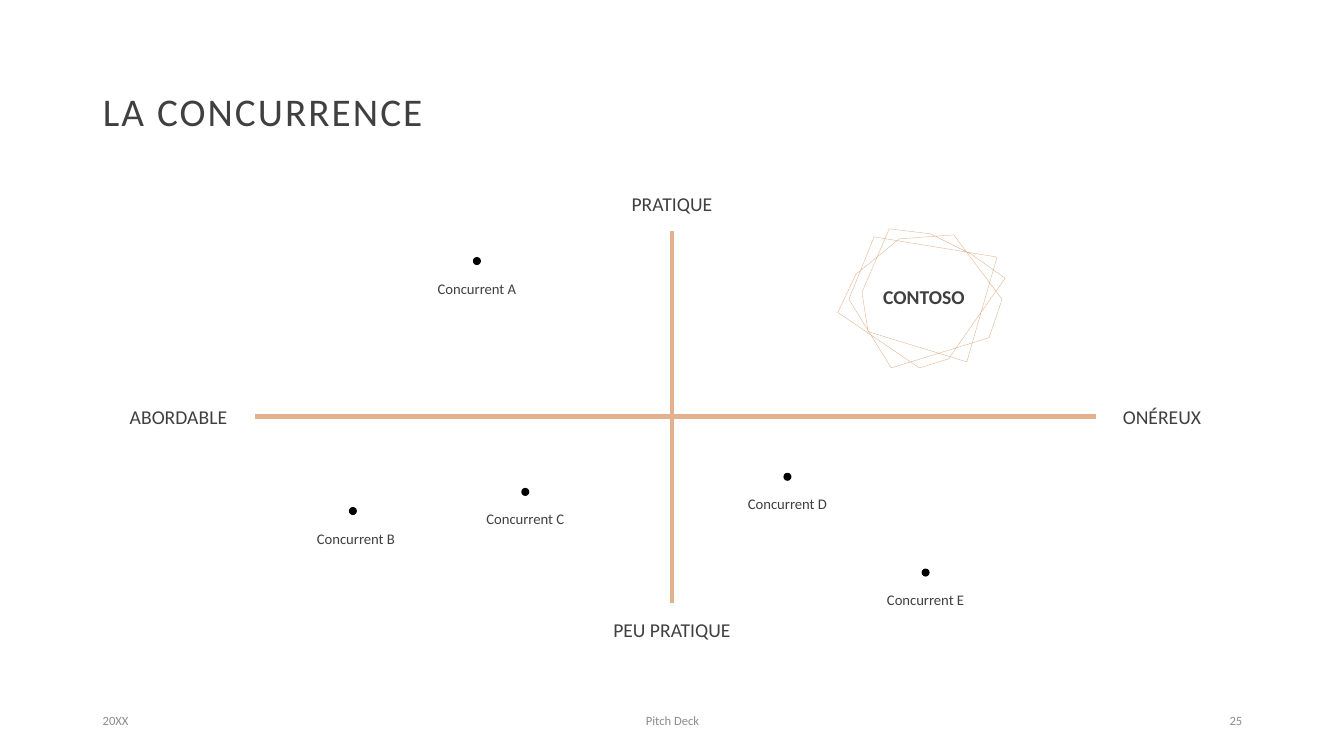
"""Builds a slide that places competitors on a price and convenience map."""
from lxml import etree
from pptx import Presentation, util as u
from pptx.dml.color import RGBColor
from pptx.enum import shapes, text
from pptx.oxml.ns import qn

INK = RGBColor(0x40, 0x40, 0x40)
GREY = RGBColor(0x8C, 0x8C, 0x8C)
SAND = RGBColor(0xE2, 0xB1, 0x8D)
BLACK = RGBColor(0, 0, 0)
FONT = "Calibri"
LEFT, CENTER, RIGHT = text.PP_ALIGN.LEFT, text.PP_ALIGN.CENTER, text.PP_ALIGN.RIGHT

COLUMNS, ROWS = 13.33, 7.5
TITLE = ("LA CONCURRENCE", (0.92, 0.4, 11.5, 1.45))
AXIS_LABELS = {
    "top": ("PRATIQUE", (5.73, 1.75, 1.87, 0.54)),
    "bottom": ("PEU PRATIQUE", (5.73, 5.98, 1.87, 0.54)),
    "left": ("ABORDABLE", (1.01, 3.86, 1.52, 0.54)),
    "right": ("ONÉREUX", (10.77, 3.86, 1.51, 0.54)),
}
AXIS_END = (10.87, 4.13)
COMPETITORS = [
    ("Concurrent A", 4.73, 2.59, 0),
    ("Concurrent B", 3.5, 5.07, 0.03),
    ("Concurrent C", 5.21, 4.88, 0),
    ("Concurrent D", 7.81, 4.73, 0),
    ("Concurrent E", 9.18, 5.68, 0),
]
DOT, LABEL_W, LABEL_H = 0.08, 1.29, 0.54
COMPANY = ("CONTOSO", (8.23, 2.37, 1.87, 1.15))
OUTLINE = [
    (8.92, 2.37), (8.54, 2.68), (8.49, 2.72), (8.31, 3.1), (9.12, 3.65), (9.41, 3.56),
    (9.68, 3.17), (9.97, 2.76), (9.63, 2.52), (9.23, 2.32), (8.82, 2.27), (8.55, 2.9),
    (8.61, 3.29), (9.59, 3.59), (9.89, 2.55), (8.67, 2.35), (8.42, 2.97), (8.84, 3.65),
    (9.81, 3.35), (9.94, 2.97), (9.46, 2.33),
]
FOOTER_TOP, FOOTER_H = 6.95, 0.4
FOOTER = [("20XX", 0.92, 3, LEFT), ("Pitch Deck", 4.42, 4.5, CENTER), ("25", 9.42, 3, RIGHT)]

prs = Presentation()
prs.slide_width, prs.slide_height = u.Inches(COLUMNS), u.Inches(ROWS)
s = prs.slides.add_slide(prs.slide_layouts[5])


def grid(*lengths):
    return [u.Inches(n) for n in lengths]


def write(sp, words, size, color=INK, align=CENTER, bold=False, before=0):
    tf = sp.text_frame
    tf.text = words
    tf.word_wrap = True
    tf.auto_size = text.MSO_AUTO_SIZE.NONE
    tf.vertical_anchor = text.MSO_ANCHOR.MIDDLE
    p = tf.paragraphs[0]
    p.alignment = align
    p.space_before = u.Pt(before)
    f = p.runs[0].font
    f.name, f.size, f.bold, f.color.rgb = FONT, u.Pt(size), bold, color
    return p


def label(words, box, size, **style):
    sp = s.shapes.add_textbox(*grid(*box))
    write(sp, words, size, **style)
    return sp


def axis(start, site):
    ln = s.shapes.add_connector(shapes.MSO_CONNECTOR.STRAIGHT, 0, 0, *grid(*AXIS_END))
    ln.begin_connect(start, site)
    ln.line.color.rgb, ln.line.width = SAND, u.Pt(3.5)
    etree.SubElement(ln._element.spPr, qn("a:effectLst"))
    return ln


title = s.shapes.title
title.left, title.top, title.width, title.height = grid(*TITLE[1])
p = write(title, TITLE[0], 28, align=LEFT)
p.line_spacing = 0.9
p.runs[0].font._element.set("spc", "150")

ends = {side: label(words, box, 14, before=10) for side, (words, box) in AXIS_LABELS.items()}
axis(ends["left"], 3)
axis(ends["bottom"], 0).end_connect(ends["top"], 2)

for name, x, y, shift in COMPETITORS:
    label(name, (x - LABEL_W / 2 + shift, y, LABEL_W, LABEL_H), 10.5, before=10)
    dot = s.shapes.add_shape(shapes.MSO_SHAPE.OVAL, *grid(x - DOT / 2, y - DOT / 2, DOT, DOT))
    dot.shadow.inherit = False
    dot.fill.solid()
    dot.fill.fore_color.rgb = BLACK
    dot.line.fill.background()

label(*COMPANY, 14, bold=True, before=10)
points = [grid(*point) for point in OUTLINE]
pen = s.shapes.build_freeform(*points[0])
pen.add_line_segments(points[1:], close=True)
frame = pen.convert_to_shape()
frame.shadow.inherit = False
frame.fill.background()
frame.line.color.rgb, frame.line.width = SAND, u.Pt(0.25)

for words, x, width, align in FOOTER:
    label(words, (x, FOOTER_TOP, width, FOOTER_H), 9, color=GREY, align=align)

prs.save("out.pptx")
